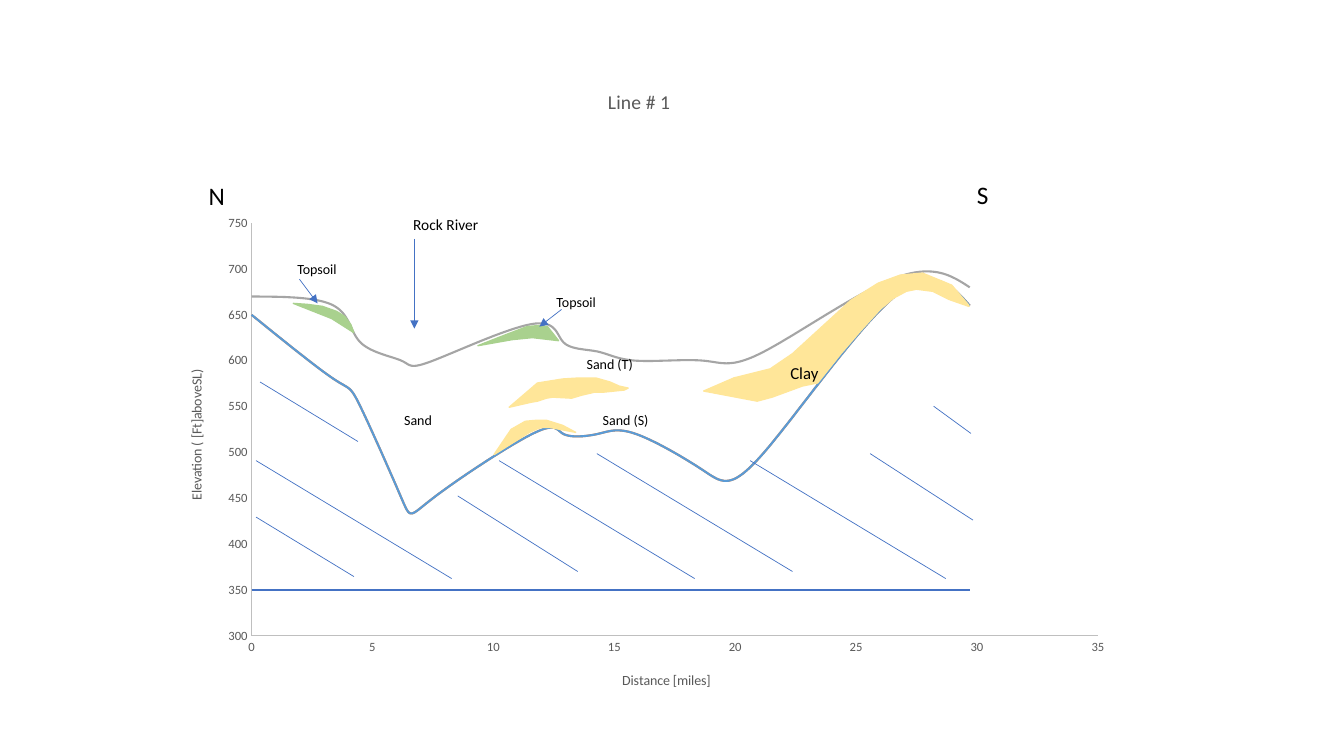
from lxml import etree
from pptx import Presentation
from pptx.chart.data import XyChartData
from pptx.dml.color import RGBColor
from pptx.enum.chart import XL_CHART_TYPE, XL_TICK_MARK
from pptx.enum.shapes import MSO_CONNECTOR
from pptx.enum.text import MSO_AUTO_SIZE
from pptx.oxml import parse_xml
from pptx.oxml.ns import nsdecls, qn
from pptx.util import Inches, Pt

FONT = "Calibri"
BLACK = RGBColor(0x00, 0x00, 0x00)
GREY = RGBColor(0x59, 0x59, 0x59)
AXIS_GREY = RGBColor(0xBF, 0xBF, 0xBF)
BLUE = RGBColor(0x44, 0x72, 0xC4)
BEDROCK_BLUE = RGBColor(0x5B, 0x9B, 0xD5)
ORANGE = RGBColor(0xED, 0x7D, 0x31)
SURFACE_GREY = RGBColor(0xA5, 0xA5, 0xA5)
TOPSOIL_GREEN = RGBColor(0xA9, 0xD1, 0x8E)
CLAY_YELLOW = RGBColor(0xFF, 0xE6, 0x99)

DISTANCES = [0, 3.4, 4.5, 6.2, 7.5, 11.6, 12.9, 14.3, 15.9, 18.7, 21.2, 26.6, 29.7]
BEDROCK = [650, 580, 550, 450, 450, 520, 520, 520, 520, 480, 500, 670, 660]
BASE = [350] * len(DISTANCES)
SURFACE = [670, 660, 620, 600, 600, 640, 620, 610, 600, 600, 610, 690, 680]
SERIES = [
    ("Series 1", BEDROCK, BEDROCK_BLUE),
    ("Series 2", BASE, BLUE),
    ("Series 3", BEDROCK, ORANGE),
    ("Series 4", SURFACE, SURFACE_GREY),
]

HATCHES = [
    (4.95, 4.57, 6.89, 5.74), (5.92, 4.5, 7.86, 5.67), (7.44, 4.57, 9.38, 5.74),
    (8.63, 4.5, 9.65, 5.16), (9.26, 4.03, 9.63, 4.3), (2.54, 4.57, 4.48, 5.74),
    (2.58, 3.79, 3.55, 4.38), (4.54, 4.92, 5.73, 5.67), (2.54, 5.13, 3.51, 5.72),
]
ARROWS = [(4.11, 2.37, 4.11, 3.26), (2.97, 2.77, 3.15, 3.01), (5.57, 3.07, 5.35, 3.24)]
TOPSOILS = [
    [(3.51, 3.3), (3.29, 3.16), (2.91, 3.01), (3.05, 3.02), (3.2, 3.04),
     (3.34, 3.09), (3.42, 3.14), (3.48, 3.22)],
    [(5.54, 3.38), (5.28, 3.35), (5.08, 3.37), (4.74, 3.43), (5.02, 3.32),
     (5.23, 3.24), (5.35, 3.23), (5.43, 3.24)],
]
CLAYS = [
    [(4.9, 4.51), (5.07, 4.26), (5.21, 4.18), (5.32, 4.17), (5.42, 4.17), (5.58, 4.22),
     (5.71, 4.29), (5.45, 4.24), (5.38, 4.24), (5.34, 4.25), (5.25, 4.29)],
    [(5.05, 4.04), (5.33, 3.8), (5.58, 3.76), (5.74, 3.75), (5.91, 3.75), (6.05, 3.79),
     (6.14, 3.83), (6.23, 3.85), (6.19, 3.87), (5.99, 3.89), (5.9, 3.89), (5.77, 3.92),
     (5.67, 3.95), (5.48, 3.94), (5.42, 3.95), (5.33, 3.98), (5.27, 3.99)],
    [(6.98, 3.88), (7.28, 3.75), (7.64, 3.66), (7.86, 3.51), (8.44, 2.98), (8.71, 2.81),
     (8.93, 2.73), (9.15, 2.71), (9.44, 2.83), (9.61, 3.03), (9.61, 3.04), (9.41, 2.97),
     (9.25, 2.89), (9.09, 2.87), (8.99, 2.89), (8.86, 2.96), (8.73, 3.07), (8.53, 3.29),
     (8.34, 3.51), (8.11, 3.8), (7.96, 3.83), (7.66, 3.94), (7.51, 3.98)],
]
LABELS = [
    ("Rock River", 4, 2.08, 0.86, 0.29, 11),
    ("Topsoil", 2.85, 2.54, 0.61, 0.27, 10),
    ("Topsoil", 5.42, 2.86, 0.61, 0.27, 10),
    ("Sand", 3.91, 4.03, 0.48, 0.27, 10),
    ("Sand (S)", 5.88, 4.03, 0.66, 0.27, 10),
    ("Sand (T)", 5.72, 3.48, 0.66, 0.27, 10),
    ("N", 1.97, 1.74, 0.36, 0.4, 18),
    ("S", 9.59, 1.73, 0.32, 0.4, 18),
    ("Clay", 7.74, 3.55, 0.48, 0.3, 12),
]


def style_font(font, size, color):
    font.name = FONT
    font.size = Pt(size)
    font.bold = False
    font.color.rgb = color


def add_title(owner, text, size):
    """Give a chart or an axis a title."""
    span = owner.text_frame.paragraphs[0].add_run()
    span.text = text
    style_font(span.font, size, GREY)


def style_axis(axis, title, low, high, step):
    axis.minimum_scale, axis.maximum_scale, axis.major_unit = low, high, step
    axis.has_major_gridlines = False
    axis.major_tick_mark = axis.minor_tick_mark = XL_TICK_MARK.NONE
    axis.format.line.color.rgb = AXIS_GREY
    axis.format.line.width = Pt(0.75)
    style_font(axis.tick_labels.font, 9, GREY)
    add_title(axis.axis_title, title, 10)


def place_plot(chart, x, y, width, height):
    """Fix the inner plot area, in fractions of the chart."""
    plot_area = chart.plots[0]._element.getparent()
    for layout in plot_area.findall(qn("c:layout")):
        plot_area.remove(layout)
    layout = parse_xml(
        f'<c:layout {nsdecls("c")}><c:manualLayout><c:layoutTarget val="inner"/>'
        '<c:xMode val="edge"/><c:yMode val="edge"/>'
        f'<c:x val="{x}"/><c:y val="{y}"/><c:w val="{width}"/><c:h val="{height}"/>'
        '</c:manualLayout></c:layout>')
    plot_area.insert(0, layout)


def smooth_curve(series):
    """Round the corners; scatter series have no public property for this."""
    element = series._element
    for smooth in element.findall(qn("c:smooth")):
        element.remove(smooth)
    etree.SubElement(element, qn("c:smooth")).set("val", "1")


def add_profile_chart(page):
    data = XyChartData()
    for name, elevations, _ in SERIES:
        series = data.add_series(name)
        for distance, elevation in zip(DISTANCES, elevations):
            series.add_data_point(distance, elevation)
    chart = page.shapes.add_chart(
        XL_CHART_TYPE.XY_SCATTER_SMOOTH_NO_MARKERS,
        Inches(1.51), Inches(0.64), Inches(9.66), Inches(7.22), data).chart
    style_font(chart.font, 10, BLACK)
    chart.has_legend = False
    chart.has_title = True
    add_title(chart.chart_title, "Line # 1", 14)
    style_axis(chart.category_axis, "Distance [miles]", 0, 35, 5)
    style_axis(chart.value_axis, "Elevation ( [Ft]aboveSL)", 300, 750, 50)
    place_plot(chart, 0.102, 0.218, 0.869, 0.567)
    chart.plots[0].vary_by_categories = False
    for series, (_, _, color) in zip(chart.plots[0].series, SERIES):
        smooth_curve(series)
        series.format.line.color.rgb = color
        series.format.line.width = Pt(1.5)


def add_line(page, x1, y1, x2, y2, arrow=False):
    line = page.shapes.add_connector(
        MSO_CONNECTOR.STRAIGHT, Inches(x1), Inches(y1), Inches(x2), Inches(y2))
    line.line.color.rgb = BLUE
    line.line.width = Pt(0.5)
    if arrow:
        etree.SubElement(line.line._get_or_add_ln(), qn("a:tailEnd"), type="triangle")
    etree.SubElement(line._element.spPr, qn("a:effectLst"))


def add_deposit(page, outline, color):
    points = [(Inches(x), Inches(y)) for x, y in outline]
    builder = page.shapes.build_freeform(*points[0])
    builder.add_line_segments(points[1:], close=True)
    deposit = builder.convert_to_shape()
    deposit.shadow.inherit = False
    deposit.fill.solid()
    deposit.fill.fore_color.rgb = color
    deposit.line.color.rgb = color
    deposit.line.width = Pt(1)


def add_label(page, text, left, top, width, height, size):
    box = page.shapes.add_textbox(Inches(left), Inches(top), Inches(width), Inches(height))
    box.text_frame.word_wrap = False
    box.text_frame.auto_size = MSO_AUTO_SIZE.SHAPE_TO_FIT_TEXT
    span = box.text_frame.paragraphs[0].add_run()
    span.text = text
    style_font(span.font, size, BLACK)


def main():
    deck = Presentation()
    deck.slide_width, deck.slide_height = Inches(13.33), Inches(7.5)
    page = deck.slides.add_slide(deck.slide_layouts[6])
    add_profile_chart(page)
    for hatch in HATCHES:
        add_line(page, *hatch)
    for outlines, color in ((TOPSOILS, TOPSOIL_GREEN), (CLAYS, CLAY_YELLOW)):
        for outline in outlines:
            add_deposit(page, outline, color)
    for arrow in ARROWS:
        add_line(page, *arrow, arrow=True)
    for label in LABELS:
        add_label(page, *label)
    deck.save("out.pptx")


if __name__ == "__main__":
    main()
